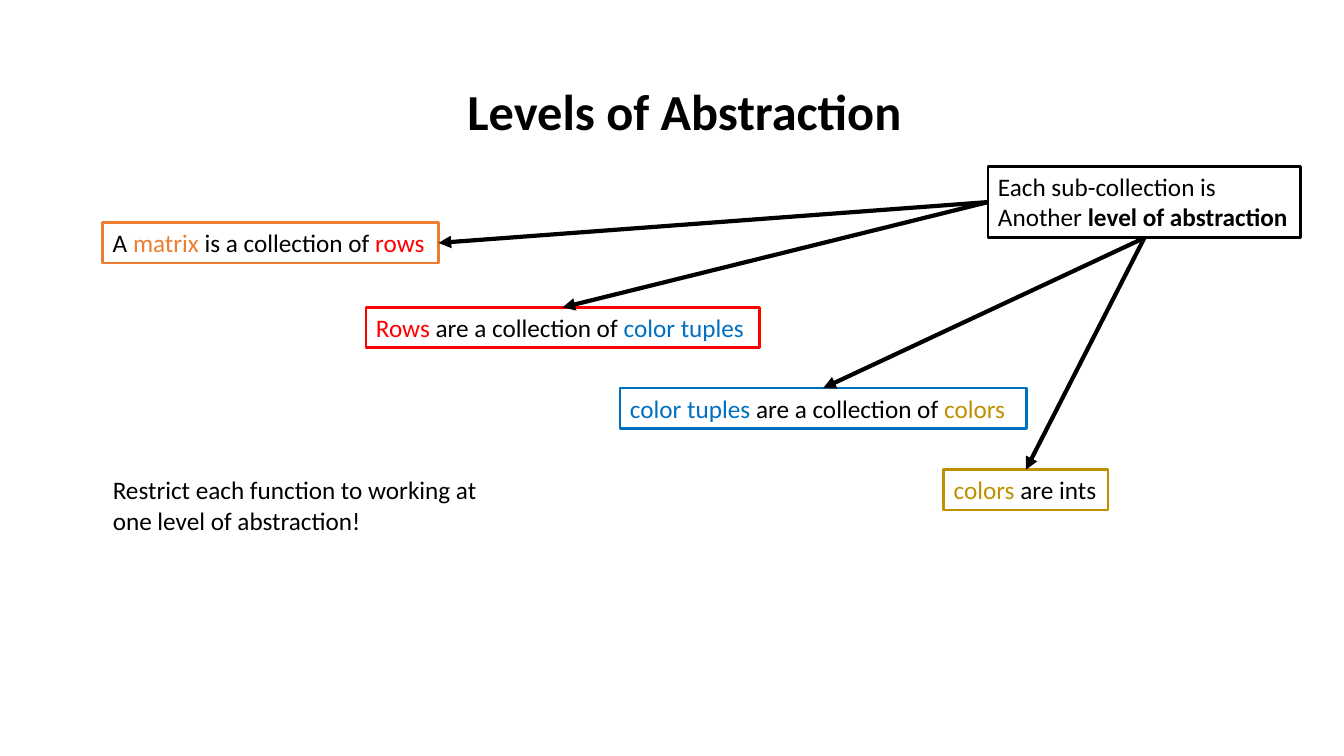
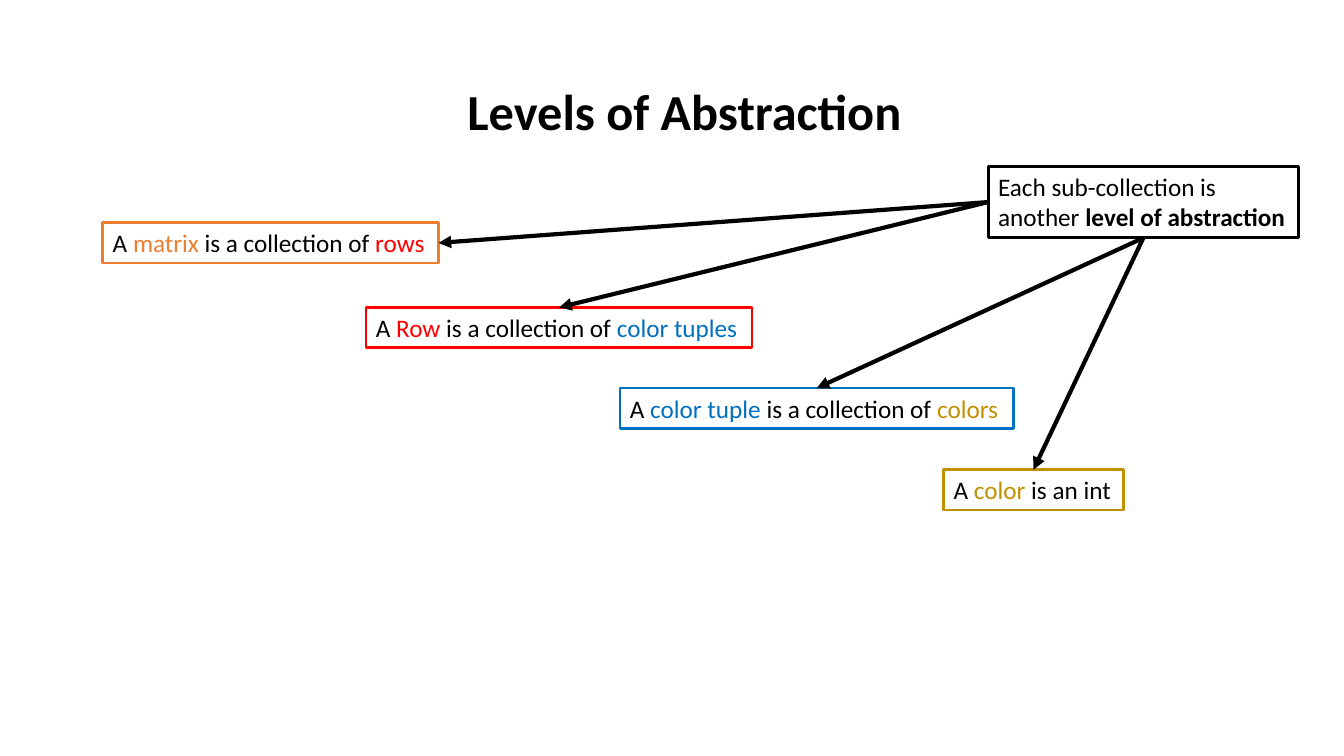
from pptx import Presentation
from pptx.dml.color import RGBColor
from pptx.enum.shapes import MSO_CONNECTOR
from pptx.enum.text import MSO_AUTO_SIZE, PP_ALIGN
from pptx.oxml.ns import qn
from pptx.util import Emu, Pt
from lxml.etree import SubElement

PX = 9144  # 100 px to the inch
FONT = "Calibri"
BLACK = RGBColor(0x00, 0x00, 0x00)
ORANGE = RGBColor(0xED, 0x7D, 0x31)
RED = RGBColor(0xFF, 0x00, 0x00)
BLUE = RGBColor(0x00, 0x70, 0xC0)
GOLD = RGBColor(0xBF, 0x90, 0x00)

TITLE_BOX = (451, 75, 456, 71)
NOTE_BOX = (102, 466, 385, 71)
CALLOUT_LEFT, CALLOUT_TOP, CALLOUT_HEIGHT = 980, 165, 71
LEVEL_HEIGHT = 40
# Left, top and outline of each level, from the outermost collection inwards
LEVEL_STEPS = [(102, 221, ORANGE), (363, 305, RED), (615, 385, BLUE), (936, 466, GOLD)]
# Connection sites of a rectangle
TOP, LEFT, BOTTOM, RIGHT = range(4)
ARROW_SITES = [(LEFT, RIGHT), (LEFT, TOP), (BOTTOM, TOP), (BOTTOM, TOP)]


def px(n):
    return Emu(n * PX)


def add_text(s, box, lines, size=18, outline=None, align=PP_ALIGN.LEFT):
    """Each line is a list of (text, colour, bold) runs."""
    sp = s.shapes.add_textbox(*map(px, box))
    if outline is not None:
        sp.line.color.rgb = outline
        sp.line.width = Pt(2)
    tf = sp.text_frame
    tf.word_wrap = False
    tf.auto_size = MSO_AUTO_SIZE.SHAPE_TO_FIT_TEXT
    for i, line in enumerate(lines):
        p = tf.add_paragraph() if i else tf.paragraphs[0]
        p.alignment = align
        for text, color, bold in line:
            r = p.add_run()
            r.text = text
            r.font.name, r.font.size, r.font.bold = FONT, Pt(size), bold
            r.font.color.rgb = color
    return sp


def add_arrow(s, start, start_site, end, end_site):
    c = s.shapes.add_connector(MSO_CONNECTOR.STRAIGHT, 0, 0, 0, 0)
    c.begin_connect(start, start_site)
    c.end_connect(end, end_site)
    c.line.color.rgb = BLACK
    c.line.width = Pt(3)
    SubElement(c.line._get_or_add_ln(), qn("a:tailEnd"), type="triangle")
    SubElement(c._element.spPr, qn("a:effectLst"))


def add_levels(s, levels):
    """Staircase of outlined statements, given as (width, coloured runs)."""
    return [
        add_text(s, (left, top, width, LEVEL_HEIGHT),
                 [[(text, color, False) for text, color in runs]], outline=outline)
        for (left, top, outline), (width, runs) in zip(LEVEL_STEPS, levels)
    ]


def add_callout(s, width, second_word):
    lines = [[("Each sub-collection is", BLACK, False)],
             [(second_word + " ", BLACK, False), ("level of abstraction", BLACK, True)]]
    box = (CALLOUT_LEFT, CALLOUT_TOP, width, CALLOUT_HEIGHT)
    return add_text(s, box, lines, outline=BLACK)


def add_abstraction_slide(prs, levels, callout_width, second_word, note=()):
    s = prs.slides.add_slide(prs.slide_layouts[6])
    # Title
    add_text(s, TITLE_BOX, [[("Levels of Abstraction", BLACK, True)]],
             size=36, align=PP_ALIGN.CENTER)
    # Levels and the callout pointing at them
    boxes = add_levels(s, levels)
    callout = add_callout(s, callout_width, second_word)
    for box, (start_site, end_site) in zip(boxes, ARROW_SITES):
        add_arrow(s, callout, start_site, box, end_site)
    # Advice
    if note:
        add_text(s, NOTE_BOX, [[(line, BLACK, False)] for line in note])


MATRIX_LEVEL = (333, [("A ", BLACK), ("matrix", ORANGE),
                      (" is a collection of ", BLACK), ("rows", RED)])
PLURAL_LEVELS = [
    MATRIX_LEVEL,
    (390, [("Rows", RED), (" are a collection of ", BLACK), ("color tuples", BLUE)]),
    (403, [("color tuples ", BLUE), ("are a collection of ", BLACK), ("colors", GOLD)]),
    (163, [("colors", GOLD), (" are ints", BLACK)]),
]
SINGULAR_LEVELS = [
    MATRIX_LEVEL,
    (383, [("A", BLACK), (" Row", RED), (" is a collection of ", BLACK),
           ("color tuples", BLUE)]),
    (390, [("A ", BLACK), ("color tuple ", BLUE), ("is a collection of ", BLACK),
           ("colors", GOLD)]),
    (178, [("A ", BLACK), ("color", GOLD), (" is an int", BLACK)]),
]


def main():
    prs = Presentation()
    prs.slide_width, prs.slide_height = px(1333), px(750)
    add_abstraction_slide(prs, PLURAL_LEVELS, 310, "Another",
                          ("Restrict each function to working at",
                           "one level of abstraction!"))
    add_abstraction_slide(prs, SINGULAR_LEVELS, 308, "another")
    prs.save("out.pptx")


if __name__ == "__main__":
    main()
